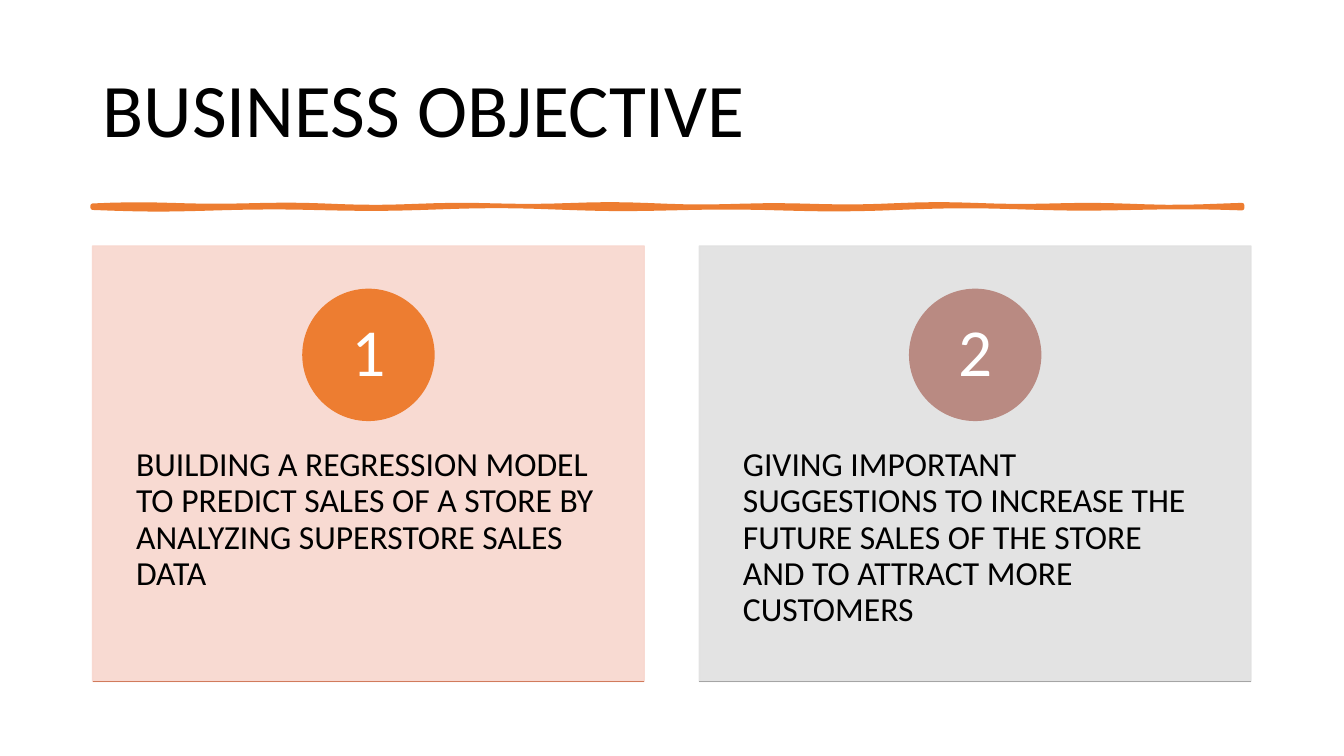
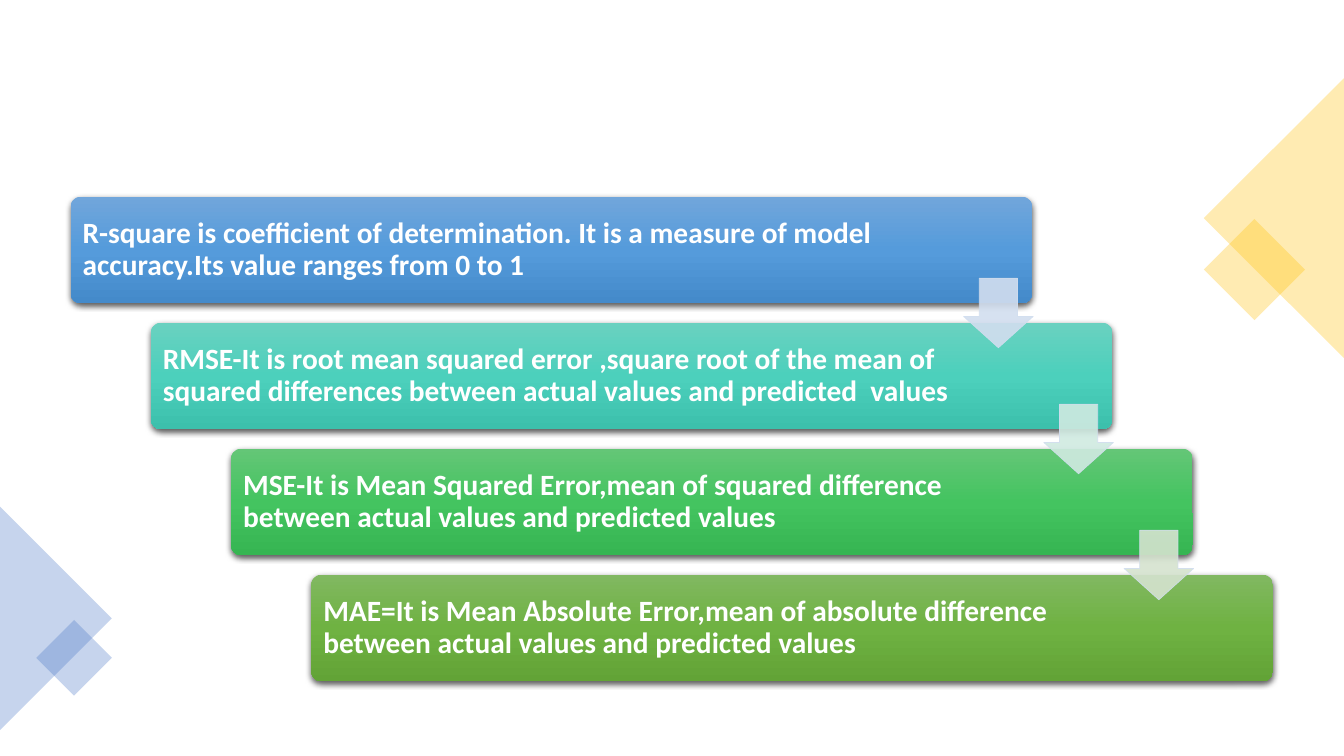
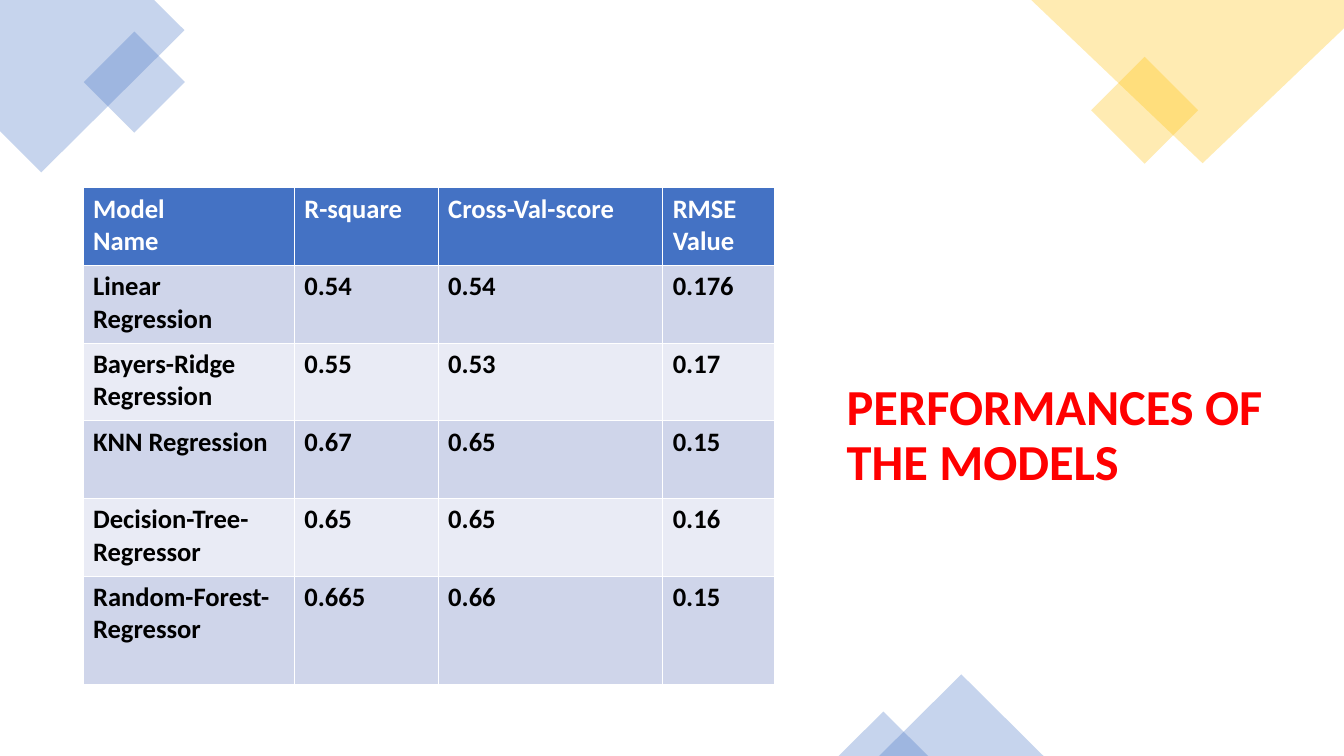
import math
from dataclasses import dataclass
from typing import Any, Sequence

import pptx
import pptx.dml.color
import pptx.enum.shapes
import pptx.enum.text
import pptx.oxml.ns
import pptx.util
from lxml import etree

Pt = pptx.util.Pt
RGB = pptx.dml.color.RGBColor.from_string
qn = pptx.oxml.ns.qn
Kind = pptx.enum.shapes.MSO_SHAPE
Align = pptx.enum.text.PP_ALIGN
Anchor = pptx.enum.text.MSO_ANCHOR

FONT = "Calibri"
COLORS = {
    "black": "000000", "white": "FFFFFF", "red": "FF0000",
    "blue": "4472C4", "gold": "FFC000", "orange": "ED7D31",
    "peach": "F8D7CE", "rust": "D17B5C", "silver": "E1E1E1",
    "rose": "B98A82", "gray": "A5A5A5",
    "band_dark": "CFD5EA", "band_light": "E9EBF5", "arrow_edge": "D2DEEF",
}
TITLE_ONLY, BLANK = 5, 6


@dataclass(frozen=True)
class Box:
    left: float
    top: float
    width: float
    height: float

    def emu(self) -> list[int]:
        return [Pt(v) for v in (self.left, self.top, self.width, self.height)]


@dataclass(frozen=True)
class Style:
    size: float
    color: str
    bold: bool = False
    align: Any = Align.LEFT
    anchor: Any = Anchor.MIDDLE
    spacing: float = 0.9
    insets: tuple[float, float, float, float] = (7.2, 3.6, 7.2, 3.6)


@dataclass(frozen=True)
class Objective:
    number: str
    text: str
    panel: str
    badge: str
    rule: str


@dataclass(frozen=True)
class Metric:
    text: str
    gradient: tuple[str, str, str]
    right_inset: float
    arrow: str = ""


@dataclass(frozen=True)
class Corner:
    kind: Any
    box: Box
    color: str
    rotation: float = 0


# Shared drawing functions

def write(frame: Any, text: str, style: Style) -> None:
    """Fill a text frame, one paragraph per line of text."""
    frame.word_wrap = True
    frame.vertical_anchor = style.anchor
    (frame.margin_left, frame.margin_top,
     frame.margin_right, frame.margin_bottom) = map(Pt, style.insets)
    write_lines(frame, text, style)


def write_lines(frame: Any, text: str, style: Style) -> None:
    for index, line in enumerate(text.split("\n")):
        paragraph = frame.add_paragraph() if index else frame.paragraphs[0]
        paragraph.alignment = style.align
        paragraph.line_spacing = style.spacing
        run = paragraph.add_run()
        run.text = line
        run.font.name = FONT
        run.font.size = Pt(style.size)
        run.font.bold = style.bold
        run.font.color.rgb = RGB(COLORS[style.color])


def paint(shape: Any, fill: str, line: str = "", width: float = 1, opacity: int = 100) -> None:
    """Set flat fill, outline and opacity from hex strings."""
    shape.shadow.inherit = False
    shape.fill.solid()
    shape.fill.fore_color.rgb = RGB(fill)
    if line:
        shape.line.color.rgb = RGB(line)
        shape.line.width = Pt(width)
    else:
        shape.line.fill.background()
    if opacity < 100:
        for color in shape.element.spPr.iter(qn("a:srgbClr")):
            etree.SubElement(color, qn("a:alpha"), val=str(opacity * 1000))


def add_shape(slide: Any, kind: Any, box: Box) -> Any:
    return slide.shapes.add_shape(kind, *box.emu())


def add_polygon(slide: Any, points: Sequence[tuple[float, float]]) -> Any:
    start, *rest = [(Pt(x), Pt(y)) for x, y in points]
    builder = slide.shapes.build_freeform(*start)
    builder.add_line_segments(rest, close=True)
    return builder.convert_to_shape()


def add_rule(slide: Any, left: float, top: float, width: float, color: str) -> None:
    rule = slide.shapes.add_connector(
        pptx.enum.shapes.MSO_CONNECTOR.STRAIGHT, Pt(left), Pt(top), Pt(left + width), Pt(top))
    rule.line.color.rgb = RGB(COLORS[color])
    rule.line.width = Pt(1)
    etree.SubElement(rule.element.spPr, qn("a:effectLst"))


def set_title(slide: Any, text: str, box: Box, style: Style) -> None:
    title = slide.shapes.title
    title.left, title.top, title.width, title.height = box.emu()
    write(title.text_frame, text, style)


def add_corners(slide: Any, corners: Sequence[Corner]) -> None:
    for corner in corners:
        shape = add_shape(slide, corner.kind, corner.box)
        shape.rotation = corner.rotation
        paint(shape, COLORS[corner.color], opacity=30)


# Slide 1: business objective

OBJECTIVES = (
    Objective("1", "BUILDING A REGRESSION MODEL  TO PREDICT SALES OF A STORE BY "
              "ANALYZING SUPERSTORE SALES DATA", "peach", "orange", "rust"),
    Objective("2", "GIVING IMPORTANT SUGGESTIONS TO INCREASE THE FUTURE SALES OF THE "
              "STORE AND TO ATTRACT MORE CUSTOMERS", "silver", "rose", "gray"),
)


def add_brush_stroke(slide: Any, left: float, top: float, width: float) -> None:
    steps = 60
    upper, lower = [], []
    for i in range(steps + 1):
        x = left + width * i / steps
        upper.append((x, top - 0.6 * math.sin(i * 0.75) - 0.4 * math.sin(i * 0.31)))
        lower.append((x, top + 1.4 + 0.8 * math.sin(i * 0.52) + 0.5 * math.sin(i * 0.23)))
    paint(add_polygon(slide, upper + lower[::-1]), COLORS["orange"], COLORS["orange"], 3.25)


def add_objective(slide: Any, objective: Objective, left: float) -> None:
    top, width, height, badge_size = 175.7, 394, 311, 93.6
    panel = add_shape(slide, Kind.RECTANGLE, Box(left, top, width, height))
    paint(panel, COLORS[objective.panel], COLORS[objective.panel], opacity=90)

    detail = slide.shapes.add_textbox(*Box(left, top + 118, width, 186.5).emu())
    write(detail.text_frame, objective.text,
          Style(24, "black", anchor=Anchor.TOP, insets=(31, 26, 31, 26)))

    badge = add_shape(slide, Kind.OVAL, Box(
        left + (width - badge_size) / 2, top + 31, badge_size, badge_size))
    paint(badge, COLORS[objective.badge], COLORS[objective.badge])
    write(badge.text_frame, objective.number,
          Style(48, "white", align=Align.CENTER, insets=(7.2, 0.7, 7.2, 0.7)))
    add_rule(slide, left, top + height, width, objective.rule)


def build_objective_slide(deck: Any) -> None:
    slide = deck.slides.add_slide(deck.slide_layouts[TITLE_ONLY])
    set_title(slide, "BUSINESS OBJECTIVE", Box(66.2, 28.8, 828, 104.4), Style(54, "black"))
    add_brush_stroke(slide, 66.2, 147, 821)
    for index, objective in enumerate(OBJECTIVES):
        add_objective(slide, objective, 66.2 + 433.4 * index)


# Slide 2: error metrics

METRICS = (
    Metric("R-square is coefficient of determination. It is a measure of model "
           "accuracy.Its value ranges from 0 to 1",
           ("71A6DB", "559BDB", "448ACA"), 91, "D2DEEF"),
    Metric("RMSE-It is root mean squared error ,square root of the mean of squared "
           "differences between actual values and predicted  values",
           ("6AD1C0", "4CD0BC", "3CC0AC"), 114, "D0EAE1"),
    Metric("MSE-It is Mean Squared Error,mean of squared difference between actual "
           "values and predicted values",
           ("64C677", "44C460", "36B552"), 114, "D5E3CF"),
    Metric("MAE=It is Mean Absolute Error,mean of absolute difference between actual "
           "values and predicted values",
           ("81B861", "6FB242", "62A336"), 114),
)
METRIC_CORNERS = (
    Corner(Kind.RECTANGLE, Box(870.5, 167, 51.1, 51.1), "gold", 45),
    Corner(Kind.ISOSCELES_TRIANGLE, Box(810, 105.8, 199.7, 100), "gold", 270),
    Corner(Kind.ISOSCELES_TRIANGLE, Box(-39.7, 401.8, 159.4, 79.7), "blue", 90),
    Corner(Kind.RECTANGLE, Box(33.8, 450.8, 38.2, 38.2), "blue", 45),
)


def paint_raised(shape: Any, gradient: Sequence[str]) -> None:
    """Vertical three-stop gradient with a soft shadow below."""
    shape.line.fill.background()
    shape.fill.gradient()
    shape.fill.gradient_angle = 270
    stops = shape.element.spPr.find(".//" + qn("a:gsLst"))
    stops.clear()
    for position, color in zip((0, 50000, 100000), gradient):
        stop = etree.SubElement(stops, qn("a:gs"), pos=str(position))
        etree.SubElement(stop, qn("a:srgbClr"), val=color)

    shape.shadow.inherit = False
    effects = shape.element.spPr.find(qn("a:effectLst"))
    shadow = etree.SubElement(effects, qn("a:outerShdw"), blurRad=str(Pt(4.5)),
                              dist=str(Pt(1.5)), dir="5400000", algn="ctr", rotWithShape="0")
    shade = etree.SubElement(shadow, qn("a:srgbClr"), val=COLORS["black"])
    etree.SubElement(shade, qn("a:alpha"), val="63000")


def build_metrics_slide(deck: Any) -> None:
    slide = deck.slides.add_slide(deck.slide_layouts[BLANK])
    add_corners(slide, METRIC_CORNERS)
    step_x, step_y = 57.3, 90
    for index, metric in enumerate(METRICS):
        bar = add_shape(slide, Kind.ROUNDED_RECTANGLE, Box(
            50.4 + step_x * index, 140.4 + step_y * index, 687, 76.3))
        bar.adjustments[0] = 0.1
        paint_raised(bar, metric.gradient)
        write(bar.text_frame, metric.text,
              Style(21, "white", bold=True, insets=(6.5, 6.5, metric.right_inset, 6.5)))
    for index, metric in enumerate(METRICS[:-1]):
        arrow = add_shape(slide, Kind.DOWN_ARROW, Box(
            688.3 + step_x * index, 198.7 + step_y * index, 49.7, 49.7))
        arrow.adjustments[0], arrow.adjustments[1] = 0.55, 0.45
        paint(arrow, metric.arrow, COLORS["arrow_edge"], 0.5, opacity=90)


# Slide 3: model performances

SCORES = (
    ("Model\nName", "R-square", "Cross-Val-score", "RMSE\nValue"),
    ("Linear\nRegression", "0.54", "0.54", "0.176"),
    ("Bayers-Ridge Regression", "0.55", "0.53", "0.17"),
    ("KNN Regression", "0.67", "0.65", "0.15"),
    ("Decision-Tree-Regressor", "0.65", "0.65", "0.16"),
    ("Random-Forest-Regressor", "0.665", "0.66", "0.15"),
)
SCORE_WIDTHS = (150.9, 102.8, 160.4, 79.8)
SCORE_HEIGHTS = (55.5,) * 5 + (77.8,)
SCORE_CORNERS = (
    Corner(Kind.RECTANGLE, Box(70.4, 33.1, 51.1, 51.1), "blue", 45),
    Corner(Kind.RECTANGLE, Box(790.6, 51.8, 54, 54), "gold", 45),
    Corner(Kind.ISOSCELES_TRIANGLE, Box(628, 481.7, 117.4, 58.3), "blue"),
    Corner(Kind.ISOSCELES_TRIANGLE, Box(599, 508.3, 64, 31.7), "blue"),
)
CUT_CORNERS = (
    ("blue", ((0, 0), (110.2, 0), (131.8, 21.6), (29.5, 123.1), (0, 93.6))),
    ("gold", ((960, 0), (736.6, 0), (859, 116.6), (960, 20.2))),
)


def add_scores(slide: Any) -> None:
    frame = Box(59.3, 134.2, sum(SCORE_WIDTHS), sum(SCORE_HEIGHTS))
    scores = slide.shapes.add_table(len(SCORES), len(SCORE_WIDTHS), *frame.emu()).table
    for column, width in zip(scores.columns, SCORE_WIDTHS):
        column.width = Pt(width)
    for index, (row, height, values) in enumerate(zip(scores.rows, SCORE_HEIGHTS, SCORES)):
        row.height = Pt(height)
        band = "band_dark" if index % 2 else "band_light"
        style = Style(19, "black" if index else "white", bold=True, spacing=1.0)
        for cell, value in zip(row.cells, values):
            cell.fill.solid()
            cell.fill.fore_color.rgb = RGB(COLORS[band if index else "blue"])
            write_lines(cell.text_frame, value, style)


def build_performance_slide(deck: Any) -> None:
    slide = deck.slides.add_slide(deck.slide_layouts[TITLE_ONLY])
    set_title(slide, "PERFORMANCES OF THE MODELS", Box(597.6, 134, 311.8, 355.7),
              Style(36, "red", bold=True))
    for color, points in CUT_CORNERS:
        paint(add_polygon(slide, points), COLORS[color], opacity=30)
    add_corners(slide, SCORE_CORNERS)
    add_scores(slide)


def main() -> None:
    deck = pptx.Presentation()
    deck.slide_width, deck.slide_height = Pt(960), Pt(540)
    build_objective_slide(deck)
    build_metrics_slide(deck)
    build_performance_slide(deck)
    deck.save("out.pptx")


if __name__ == "__main__":
    main()
